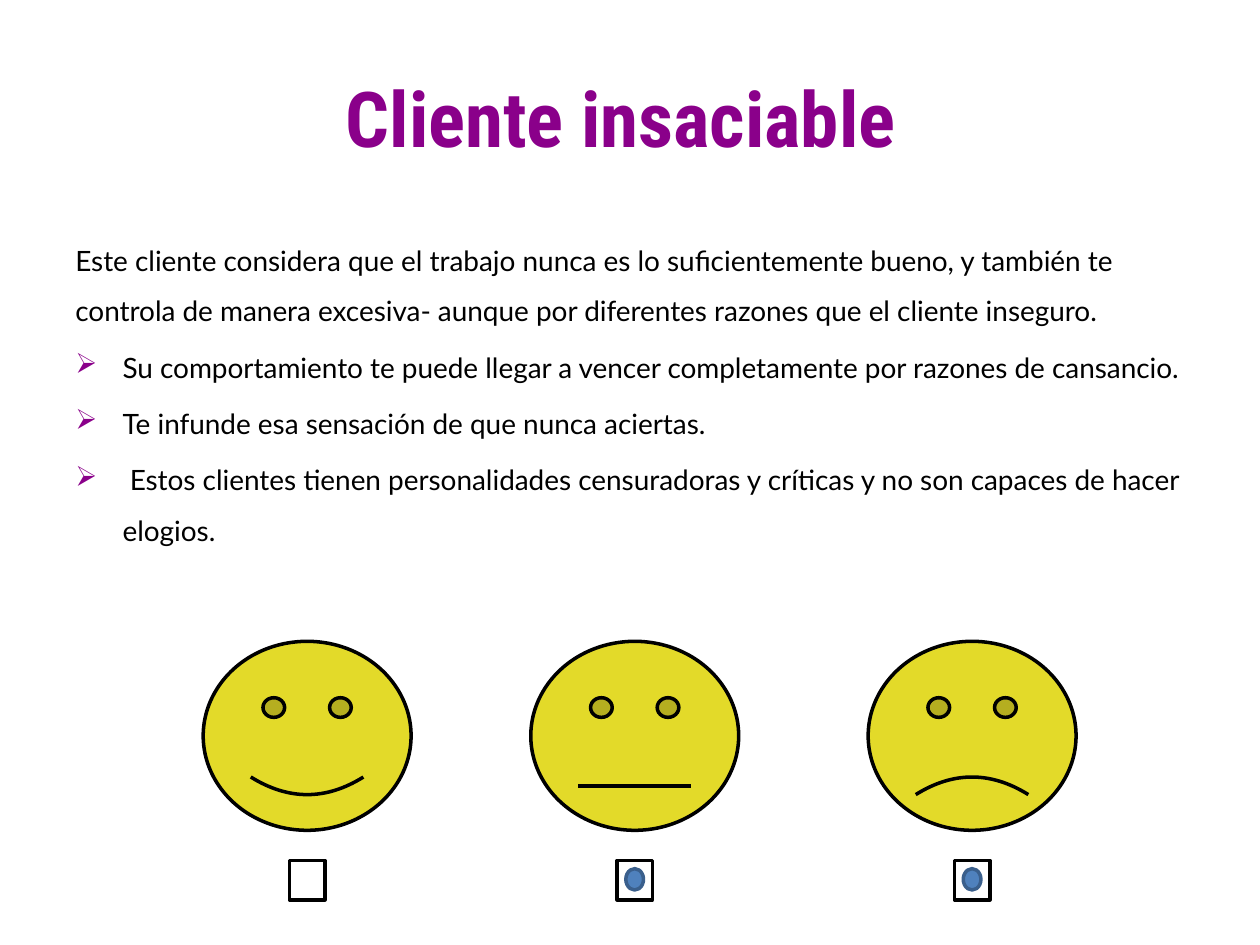
from lxml import etree
from pptx import Presentation
from pptx.dml.color import RGBColor
from pptx.enum import shapes, text
from pptx.oxml import ns
from pptx.util import Pt

COLORS = {
    "purple": "8A008A", "black": "000000", "white": "FFFFFF",
    "face": "E3DA29", "mark": "4F81BD", "mark_line": "3A5F8C",
}
INTRO = ("Este cliente considera que el trabajo nunca es lo suficientemente bueno, "
         "y también te controla de manera excesiva- aunque por diferentes razones "
         "que el cliente inseguro.")
TRAITS = [
    "Su comportamiento te puede llegar a vencer completamente por razones de cansancio.",
    "Te infunde esa sensación de que nunca aciertas.",
    " Estos clientes tienen personalidades censuradoras y críticas y no son capaces "
    "de hacer elogios.",
]
# centre x, mouth curve, whether its box is marked
MOODS = [(175.5, 0.04653, False), (362.7, 0, True), (555.5, -0.04653, True)]


def rgb(name):
    return RGBColor.from_string(COLORS[name])


class SlideBuilder:
    title_font, body_font = "Roboto Condensed", "Lato"
    line_width = Pt(2)
    indent = Pt(27)

    def __init__(self, slide):
        self.slide = slide

    def text_box(self, left, top, width, height):
        frame = self.slide.shapes.add_textbox(
            Pt(left), Pt(top), Pt(width), Pt(height)).text_frame
        frame.word_wrap = True
        return frame

    def format_runs(self, paragraph, font, size, color, bold=False):
        for run in paragraph.runs:
            run.font.name, run.font.size, run.font.bold = font, Pt(size), bold
            run.font.color.rgb = rgb(color)

    def title(self, wording, *box):
        frame = self.text_box(*box)
        frame.vertical_anchor = text.MSO_ANCHOR.MIDDLE
        heading = frame.paragraphs[0]
        heading.text = wording
        heading.alignment = text.PP_ALIGN.CENTER
        self.format_runs(heading, self.title_font, 44, "purple", bold=True)

    def body(self, intro, bullets, *box):
        frame = self.text_box(*box)
        frame.text = "\n".join([intro, *bullets])
        for index, paragraph in enumerate(frame.paragraphs):
            paragraph.line_spacing = 1.5
            paragraph.space_before = Pt(3.4)
            self.format_runs(paragraph, self.body_font, 16, "black")
            if index:
                self.bullet(paragraph)

    def bullet(self, paragraph):
        props = paragraph._p.get_or_add_pPr()
        props.set("marL", str(self.indent))
        props.set("indent", str(-self.indent))
        color = etree.SubElement(props, ns.qn("a:buClr"))
        etree.SubElement(color, ns.qn("a:srgbClr"), val=COLORS["purple"])
        etree.SubElement(props, ns.qn("a:buChar"), char="➢")

    def centred_shape(self, kind, center_x, center_y, width, height, fill, line="black"):
        shape = self.slide.shapes.add_shape(
            kind, Pt(center_x - width / 2), Pt(center_y - height / 2),
            Pt(width), Pt(height))
        shape.shadow.inherit = False
        shape.fill.solid()
        shape.fill.fore_color.rgb = rgb(fill)
        shape.line.color.rgb = rgb(line)
        shape.line.width = self.line_width
        return shape

    def mood(self, center_x, curve, marked):
        """Draw a face with its tick box below, filled in when marked."""
        kinds = shapes.MSO_SHAPE
        face = self.centred_shape(kinds.SMILEY_FACE, center_x, 420.5, 118.8, 108, "face")
        face.adjustments[0] = curve
        self.centred_shape(kinds.RECTANGLE, center_x, 503, 20.2, 22.5, "white")
        if marked:
            self.centred_shape(kinds.OVAL, center_x, 502.5, 10.1, 12.2, "mark", "mark_line")


def main():
    deck = Presentation()
    deck.slide_width, deck.slide_height = Pt(720), Pt(540)
    builder = SlideBuilder(deck.slides.add_slide(deck.slide_layouts[6]))
    builder.title("Cliente insaciable ", 36, 21.6, 648, 90)
    builder.body(INTRO, TRAITS, 36, 126, 648, 356.4)
    for mood in MOODS:
        builder.mood(*mood)
    deck.save("out.pptx")


if __name__ == "__main__":
    main()
